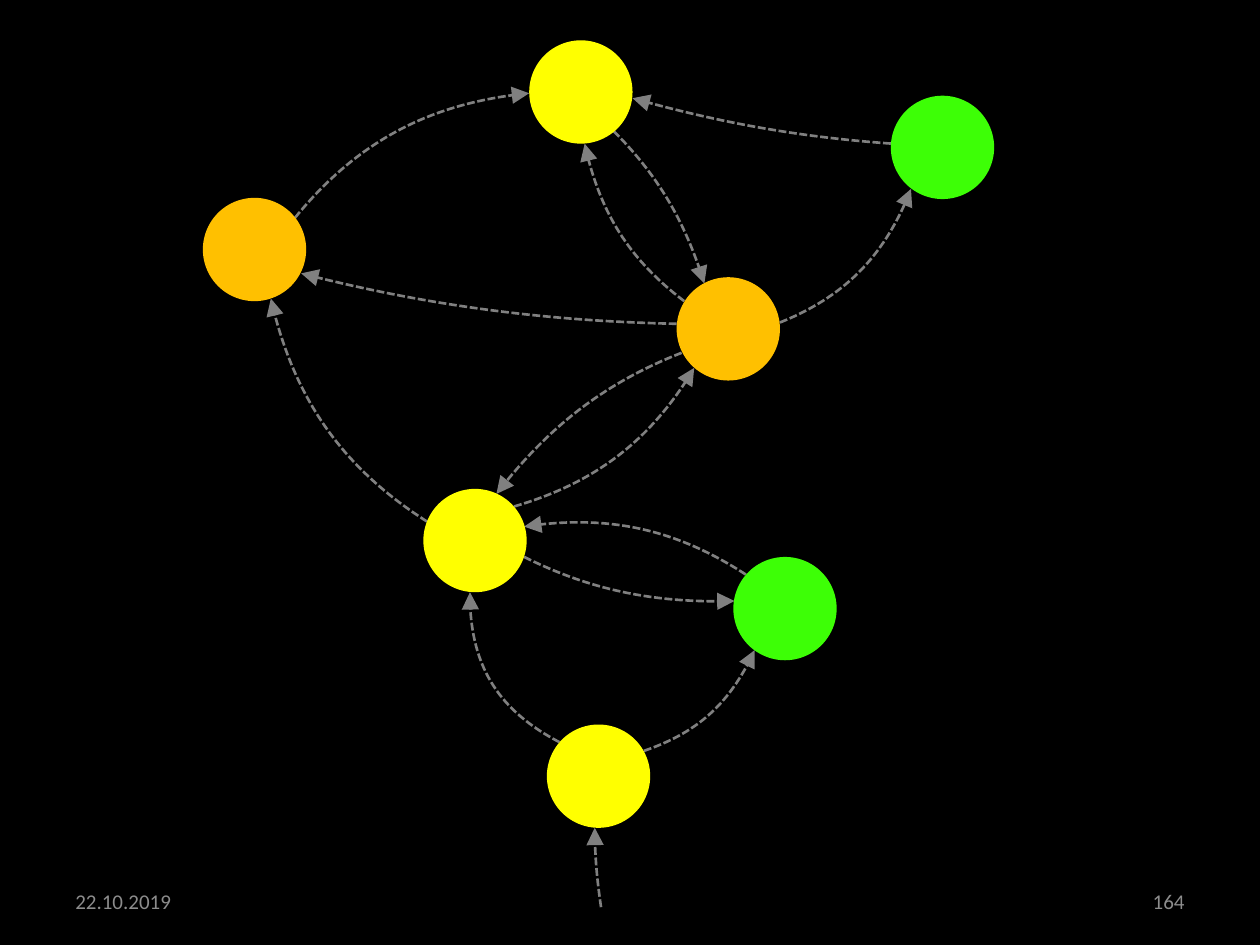
import math

import lxml.etree
import pptx
import pptx.dml.color
import pptx.enum.dml
import pptx.enum.shapes
import pptx.enum.text
import pptx.oxml.ns
import pptx.util

SCALE = 9144
RADIUS = 41


def px(value):
    return pptx.util.Emu(value * SCALE)


def rgb(value):
    return pptx.dml.color.RGBColor.from_string(value)


YELLOW, ORANGE, GREEN = "FFFF00", "FFC000", "3DFF06"

centers = {
    "west": (202, 198),
    "northeast": (748, 117),
    "middle": (578, 261),
    "southeast": (623, 483),
    "top": (461, 73),
    "bottom": (475, 616),
    "hub": (377, 429),
    "entry": (477, 720),
}
node_colors = {
    "west": ORANGE,
    "northeast": GREEN,
    "middle": ORANGE,
    "southeast": GREEN,
    "top": YELLOW,
    "bottom": YELLOW,
    "hub": YELLOW,
}

# source, leaving angle, target, arriving angle, bulge to the left of travel
transitions = [
    ("west", -38, "top", 179, 22),
    ("bottom", -139, "hub", 96, 21),
    ("bottom", -29, "southeast", 126, -13),
    ("southeast", -139, "hub", -16, -17),
    ("hub", 18, "southeast", -171, -11),
    ("hub", -41, "middle", 131, -18),
    ("middle", -7, "northeast", 127, -16),
    ("northeast", -176, "top", 7, 5),
    ("entry", 0, "bottom", 94, 1),
    ("middle", 153, "hub", -65, -13),
    ("middle", -174, "west", 27, 9),
    ("hub", -159, "west", 72, 22),
    ("middle", -148, "top", 86, 14),
    ("top", 50, "middle", -118, 9),
]

deck = pptx.Presentation()
deck.slide_width = px(1000)
deck.slide_height = px(750)
slide = deck.slides.add_slide(deck.slide_layouts[6])
slide.background.fill.solid()
slide.background.fill.fore_color.rgb = rgb("000000")

footers = [
    (50, "22.10.2019", pptx.enum.text.PP_ALIGN.LEFT),
    (717, "164", pptx.enum.text.PP_ALIGN.RIGHT),
]
for left, wording, alignment in footers:
    footer = slide.shapes.add_textbox(px(left), px(695), px(233), px(40)).text_frame
    footer.word_wrap = True
    footer.vertical_anchor = pptx.enum.text.MSO_ANCHOR.MIDDLE
    paragraph = footer.paragraphs[0]
    paragraph.text = wording
    paragraph.alignment = alignment
    paragraph.font.name = "Calibri"
    paragraph.font.size = pptx.util.Pt(12)
    paragraph.font.color.rgb = rgb("8C8C8C")

for source, leaving, target, arriving, bulge in transitions:
    rim_points = []
    for name, angle in ((source, leaving), (target, arriving)):
        center_x, center_y = centers[name]
        reach = RADIUS if name in node_colors else 0
        turn = math.radians(angle)
        rim_points.append(
            (center_x + reach * math.cos(turn), center_y + reach * math.sin(turn))
        )
    (start_x, start_y), (end_x, end_y) = rim_points
    run, rise = end_x - start_x, end_y - start_y
    lift = bulge * 4 / 3 / math.hypot(run, rise)
    controls = [
        (start_x + run * part + rise * lift, start_y + rise * part - run * lift)
        for part in (1 / 3, 2 / 3)
    ]

    builder = slide.shapes.build_freeform(start_x, start_y, scale=SCALE)
    builder.add_line_segments([*controls, (end_x, end_y)], close=False)
    arrow = builder.convert_to_shape()
    curve, *others = arrow._element.xpath(".//a:lnTo")
    for segment in others:
        curve.append(segment[0])
        segment.getparent().remove(segment)
    curve.tag = pptx.oxml.ns.qn("a:cubicBezTo")

    arrow.shadow.inherit = False
    arrow.fill.background()
    arrow.line.color.rgb = rgb("808080")
    arrow.line.width = pptx.util.Pt(1.5)
    arrow.line.dash_style = pptx.enum.dml.MSO_LINE.SQUARE_DOT
    lxml.etree.SubElement(
        arrow.line._get_or_add_ln(),
        pptx.oxml.ns.qn("a:tailEnd"),
        type="triangle",
        w="lg",
        len="lg",
    )

for name, color in node_colors.items():
    center_x, center_y = centers[name]
    node = slide.shapes.add_shape(
        pptx.enum.shapes.MSO_SHAPE.OVAL,
        px(center_x - RADIUS),
        px(center_y - RADIUS),
        px(2 * RADIUS),
        px(2 * RADIUS),
    )
    node.shadow.inherit = False
    node.fill.solid()
    node.fill.fore_color.rgb = rgb(color)
    node.line.fill.background()

deck.save("out.pptx")
